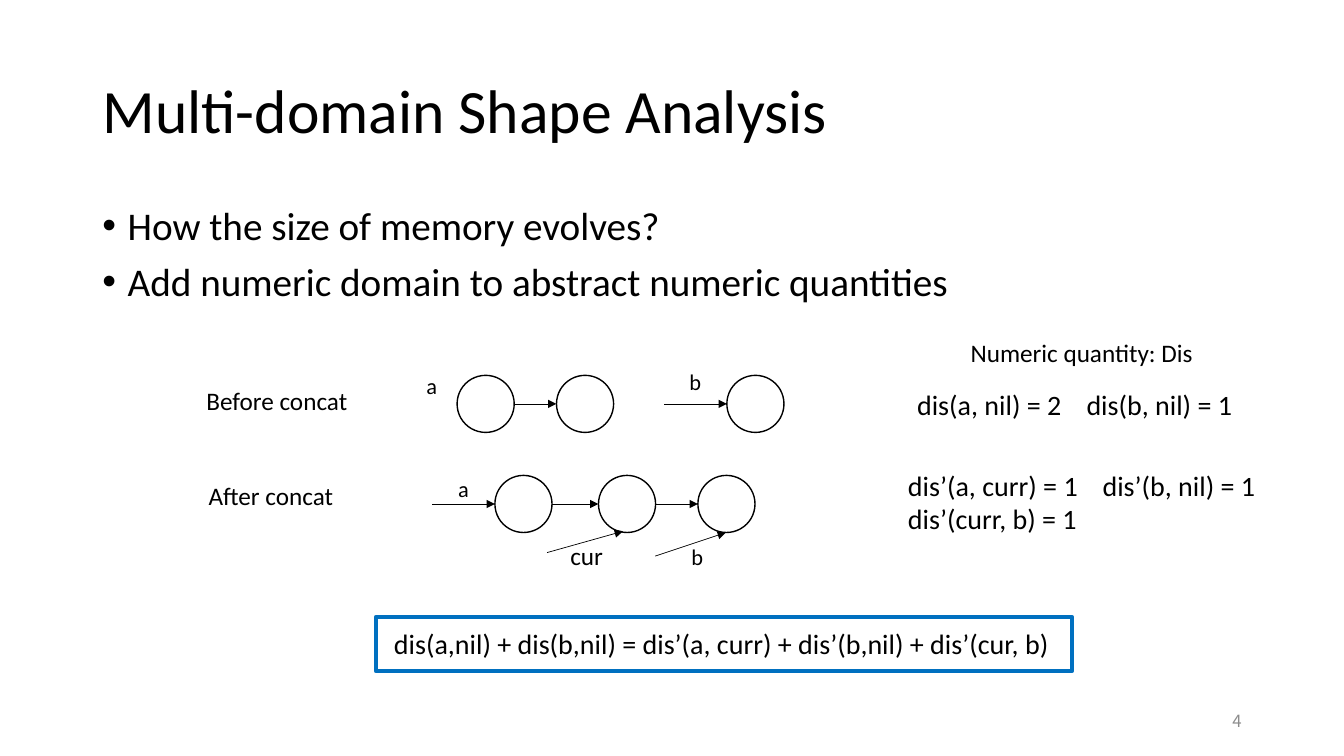
from lxml import etree
from pptx import Presentation
from pptx.dml.color import RGBColor
from pptx.enum.shapes import MSO_CONNECTOR, MSO_SHAPE
from pptx.enum.text import MSO_ANCHOR, MSO_AUTO_SIZE, PP_ALIGN
from pptx.oxml.ns import qn
from pptx.util import Pt

LINE = MSO_CONNECTOR.STRAIGHT
OVAL, RECT = MSO_SHAPE.OVAL, MSO_SHAPE.RECTANGLE
TOP, MIDDLE = MSO_ANCHOR.TOP, MSO_ANCHOR.MIDDLE
LEFT, RIGHT = PP_ALIGN.LEFT, PP_ALIGN.RIGHT
FIXED = MSO_AUTO_SIZE.NONE

FONT = "Calibri"
BLACK, BLUE, GRAY = "000000", "0070C0", "8C8C8C"
NODE = 40.8  # diameter of a list node
ROW1, ROW2 = 288.5, 360  # centre lines of the two lists


def color(code):
    return RGBColor.from_string(code)


def write(par, text, size, code=BLACK, font=FONT):
    run = par.add_run()
    run.text = text
    run.font.size = Pt(size)
    run.font.name = font
    run.font.color.rgb = color(code)


def place(shape, x, y, w, h):
    shape.left, shape.top = Pt(x), Pt(y)
    shape.width, shape.height = Pt(w), Pt(h)


def fill_holder(holder, box, lines, size, anchor, bullet=False):
    place(holder, *box)
    frame = holder.text_frame
    frame.auto_size = FIXED
    frame.vertical_anchor = anchor
    for i, line in enumerate(lines):
        par = frame.add_paragraph() if i else frame.paragraphs[0]
        par.alignment = LEFT
        par.line_spacing = 0.9
        par.space_before = Pt(10 if i else 0)
        if bullet:
            props = par._p.get_or_add_pPr()
            props.set("marL", str(Pt(18)))
            props.set("indent", str(Pt(-18)))
            etree.SubElement(props, qn("a:buChar"), char="•")
        write(par, line, size)


def label(slide, x, y, w, h, lines, size, tab=0, wrap=True):
    frame = slide.shapes.add_textbox(Pt(x), Pt(y), Pt(w), Pt(h)).text_frame
    frame.word_wrap = wrap
    for i, line in enumerate(lines):
        par = frame.add_paragraph() if i else frame.paragraphs[0]
        if tab:
            stops = etree.SubElement(par._p.get_or_add_pPr(), qn("a:tabLst"))
            etree.SubElement(stops, qn("a:tab"), pos=str(Pt(tab)), algn="l")
        write(par, line, size)


def outline(slide, kind, x, y, w, h, code, width):
    shape = slide.shapes.add_shape(kind, Pt(x), Pt(y), Pt(w), Pt(h))
    shape.shadow.inherit = False
    shape.fill.background()
    shape.line.color.rgb = color(code)
    shape.line.width = Pt(width)


def node(slide, x, mid):
    outline(slide, OVAL, x, mid - NODE / 2, NODE, NODE, BLACK, 1)


def arrow(slide, x1, y1, x2, y2):
    link = slide.shapes.add_connector(LINE, Pt(x1), Pt(y1), Pt(x2), Pt(y2))
    link.line.color.rgb = color(BLACK)
    link.line.width = Pt(0.5)
    etree.SubElement(link.line._get_or_add_ln(), qn("a:tailEnd"), type="triangle")
    etree.SubElement(link._element.spPr, qn("a:effectLst"))


def chain(slide, mid, lefts):
    """Draw nodes on one line, each linked to the next."""
    for x in lefts:
        node(slide, x, mid)
    for x, after in zip(lefts, lefts[1:]):
        arrow(slide, x + NODE, mid, after, mid)


def main():
    deck = Presentation()
    deck.slide_width, deck.slide_height = Pt(960), Pt(540)
    slide = deck.slides.add_slide(deck.slide_layouts[1])

    # Title and list
    title, body = slide.placeholders
    fill_holder(title, (66, 28.75, 828, 104.4),
                ["Multi-domain Shape Analysis"], 44, MIDDLE)
    fill_holder(body, (66, 143.75, 828, 342.6),
                ["How the size of memory evolves?",
                 "Add numeric domain to abstract numeric quantities"],
                28, TOP, bullet=True)

    # Lists before and after the call
    chain(slide, ROW1, [326.5, 397.5])
    chain(slide, ROW1, [519.2])
    chain(slide, ROW2, [353.5, 427.5, 498.5])

    # Pointers into the lists
    arrow(slide, 474.5, ROW1, 519.2, ROW1)
    arrow(slide, 308.8, ROW2, 353.5, ROW2)
    arrow(slide, 468, 397.2, 518.5, 380.4)
    arrow(slide, 390.8, 394.7, 445, 379.5)
    for name, x, y in [("b", 485.3, 259.2), ("a", 297.4, 262),
                       ("a", 320.2, 335.7), ("b", 486.8, 384.6)]:
        label(slide, x, y, 31.7, 26.6, [name], 16)
    label(slide, 400.3, 382.5, 38.9, 29, ["cur"], 18, wrap=False)

    # Row names
    label(slide, 140.4, 271.6, 133.2, 29, ["Before concat"], 18)
    label(slide, 141.9, 339.8, 133.2, 29, ["After concat"], 18)

    # Numeric quantities
    label(slide, 686.2, 237.6, 175.7, 29, ["Numeric quantity: Dis"], 18, wrap=False)
    label(slide, 648, 273, 252.7, 31.5,
          ["dis(a, nil) = 2\tdis(b, nil) = 1"], 20, tab=121)
    label(slide, 641.5, 331, 280.8, 55.5,
          ["dis’(a, curr) = 1\tdis’(b, nil) = 1", "dis’(curr, b) = 1"], 20, tab=139)

    # Framed equation
    label(slide, 274.3, 443.7, 491, 31.5,
          ["dis(a,nil) + dis(b,nil) = dis’(a, curr) + dis’(b,nil) + dis’(cur, b)"], 20)
    outline(slide, RECT, 268.6, 440.6, 497, 38.9, BLUE, 3)

    # Page number
    frame = slide.shapes.add_textbox(Pt(678), Pt(500.5), Pt(216), Pt(28.8)).text_frame
    frame.word_wrap = True
    frame.vertical_anchor = MIDDLE
    frame.paragraphs[0].alignment = RIGHT
    write(frame.paragraphs[0], "4", 12, GRAY, "Noto Sans CJK SC")

    deck.save("out.pptx")


if __name__ == "__main__":
    main()
